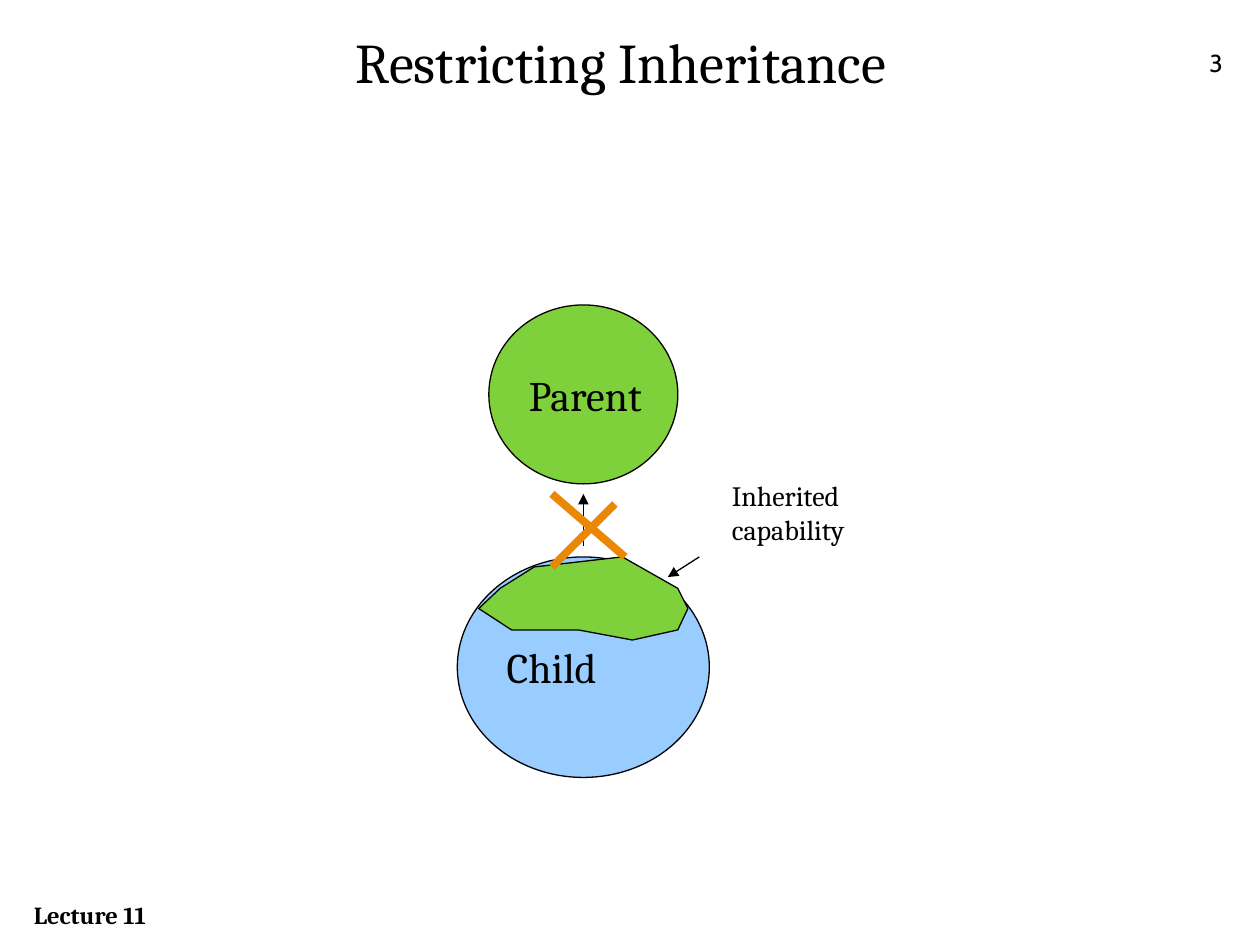
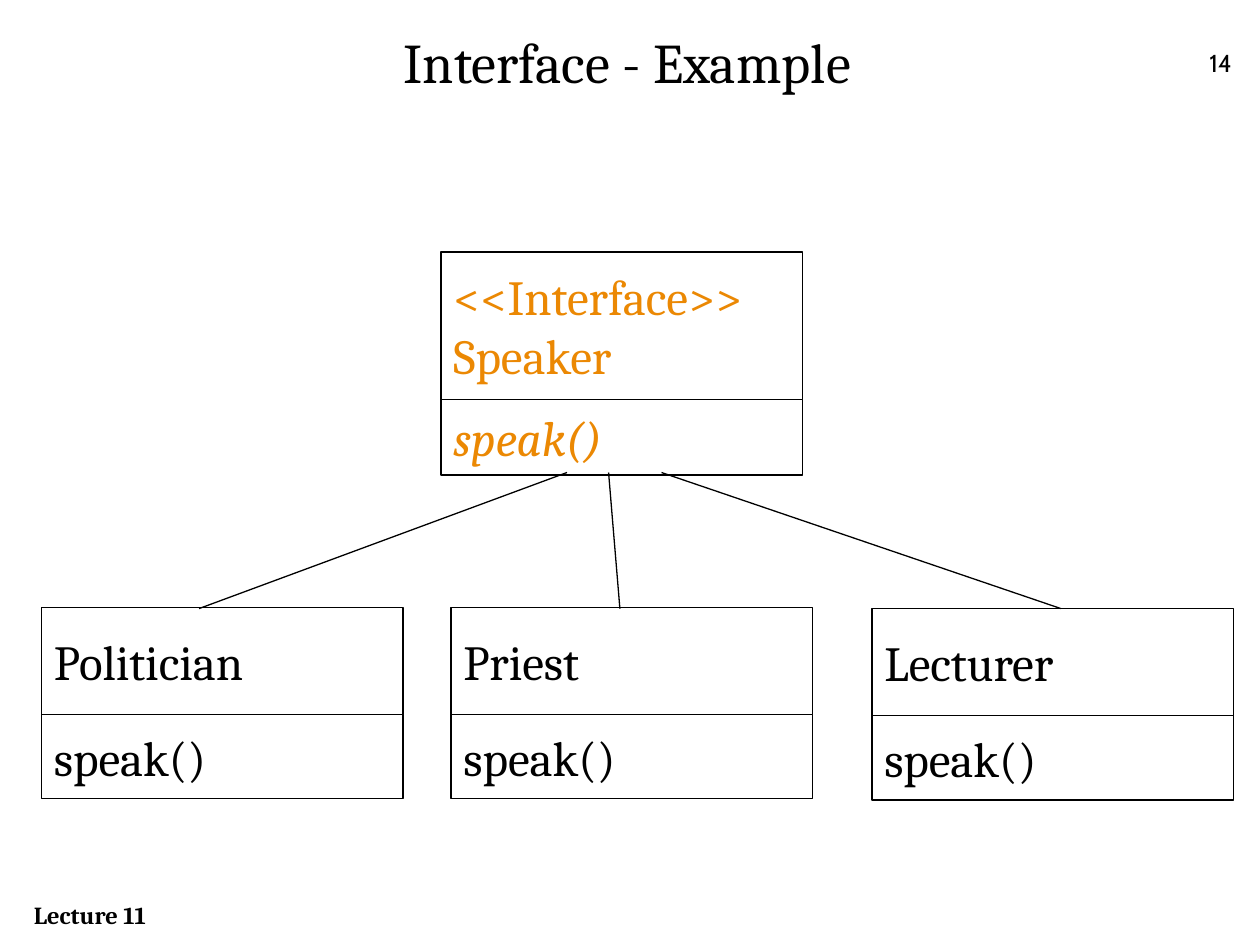
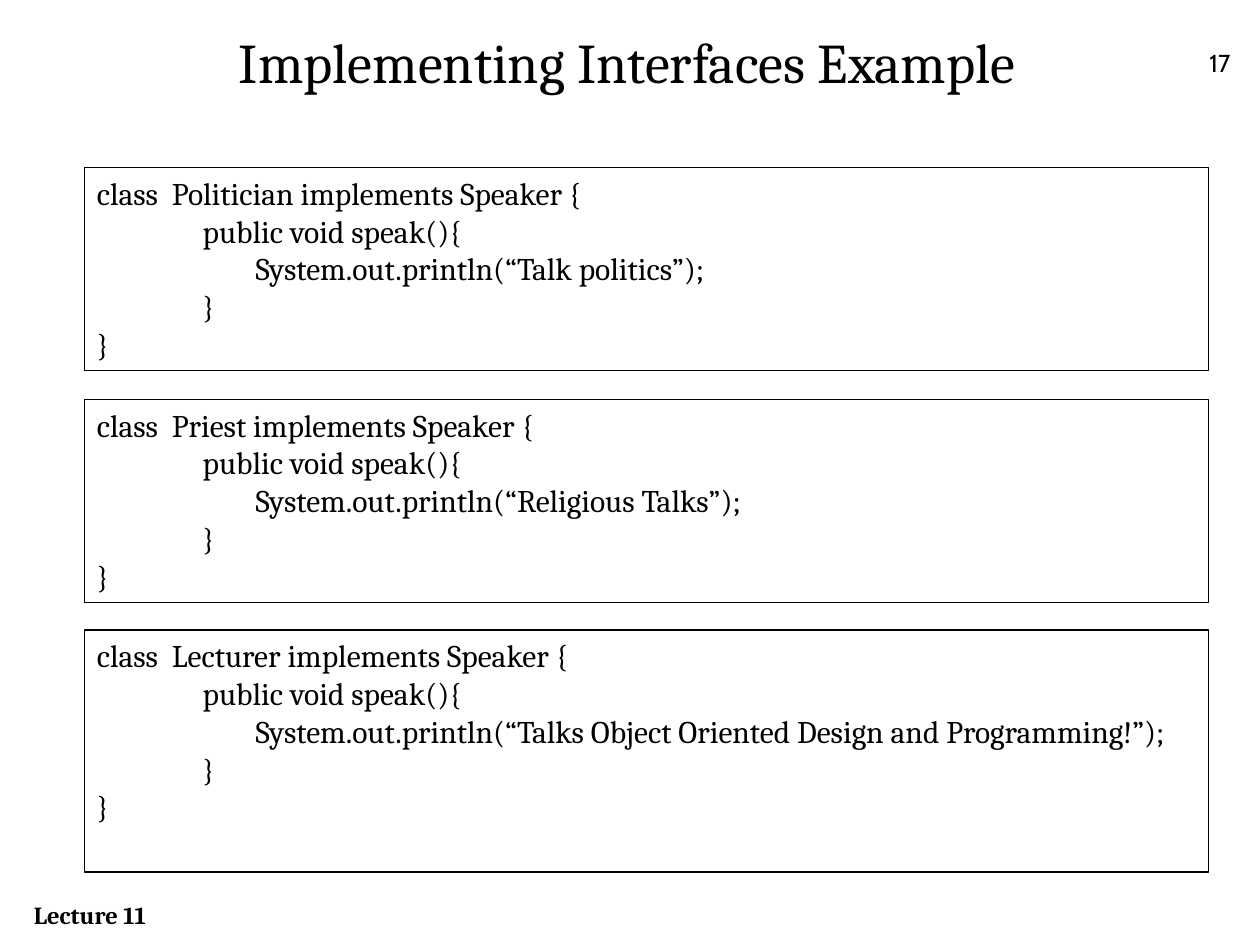
from dataclasses import dataclass
from typing import Optional

from lxml import etree
from pptx import Presentation
from pptx.dml.color import RGBColor
from pptx.enum import shapes, text
from pptx.oxml.ns import qn
from pptx.util import Inches, Pt

BLACK = RGBColor(0x00, 0x00, 0x00)
WHITE = RGBColor(0xFF, 0xFF, 0xFF)
GREEN = RGBColor(0x7F, 0xD1, 0x3B)
BLUE = RGBColor(0x99, 0xCC, 0xFF)
ORANGE = RGBColor(0xEB, 0x88, 0x03)

SERIF = "Cambria"
SANS = "Cabin"
RECT = shapes.MSO_SHAPE.RECTANGLE
OVAL = shapes.MSO_SHAPE.OVAL
TAB_STEP = 0.42


@dataclass(frozen=True)
class Box:
    left: float
    top: float
    width: float
    height: float

    def emu(self) -> tuple:
        return tuple(Inches(v) for v in (self.left, self.top, self.width, self.height))


@dataclass(frozen=True)
class Style:
    size: float
    color: RGBColor = BLACK
    name: str = SERIF
    bold: bool = False
    italic: bool = False


@dataclass(frozen=True)
class Line:
    start: tuple
    end: tuple
    color: RGBColor = BLACK
    width: float = 0.75
    arrow: bool = False


@dataclass(frozen=True)
class ClassBox:
    left: float
    top: float
    head: str
    head_height: float = 0.85
    method_height: float = 0.67
    color: RGBColor = BLACK
    abstract: bool = False


@dataclass(frozen=True)
class CodeBox:
    top: float
    height: float
    name: str
    speech: str


TITLE = Box(0.17, 0.17, 9.62, 1.08)
FOOTER = Box(0.17, 7.09, 2, 0.34)
NUMBER = Box(9.5, 0.33, 0.42, 0.4)
CLASS_WIDTH = 2.87

OUTLINE = [(3.8, 4.83), (4.06, 5), (4.32, 5), (4.59, 5), (5.02, 5.08), (5.38, 5),
           (5.46, 4.83), (5.38, 4.67), (4.94, 4.42), (4.24, 4.5), (3.97, 4.67)]
ARROWS = [Line((4.63, 4.33), (4.63, 3.92), arrow=True),
          Line((5.55, 4.42), (5.3, 4.58), arrow=True)]
CROSS = [Line((4.38, 3.92), (4.96, 4.42), ORANGE, 4.5),
         Line((4.88, 4), (4.38, 4.5), ORANGE, 4.5)]

CLASSES = [
    ClassBox(3.5, 2, "<<Interface>>\nSpeaker", 1.17, 0.6, ORANGE, True),
    ClassBox(0.33, 4.82, "Politician"),
    ClassBox(3.58, 4.82, "Priest"),
    ClassBox(6.92, 4.83, "Lecturer"),
]
LINKS = [Line((4.5, 3.75), (1.58, 4.83)),
         Line((4.83, 3.75), (4.92, 4.83)),
         Line((5.25, 3.75), (8.42, 4.83))]

CODE = [
    CodeBox(1.33, 1.61, "Politician", "Talk politics"),
    CodeBox(3.17, 1.61, "Priest", "Religious Talks"),
    CodeBox(5, 1.92, "Lecturer", "Talks Object Oriented Design and Programming!"),
]


def write(sp, content: str, style: Style, wrap: bool = True,
          anchor=text.MSO_ANCHOR.TOP, align=text.PP_ALIGN.LEFT, tabs: bool = False) -> None:
    tf = sp.text_frame
    frame = {"word_wrap": wrap, "vertical_anchor": anchor,
             "auto_size": text.MSO_AUTO_SIZE.NONE}
    for key, value in frame.items():
        setattr(tf, key, value)
    for i, row in enumerate(content.split("\n")):
        p = tf.paragraphs[0] if i == 0 else tf.add_paragraph()
        p.alignment = align
        if tabs:
            add_tabs(p)
        r = p.add_run()
        r.text = row
        font = {"name": style.name, "size": Pt(style.size),
                "bold": style.bold, "italic": style.italic}
        for key, value in font.items():
            setattr(r.font, key, value)
        r.font.color.rgb = style.color


def add_tabs(p) -> None:
    tabs = etree.SubElement(p._p.get_or_add_pPr(), qn("a:tabLst"))
    for n in range(1, 4):
        etree.SubElement(tabs, qn("a:tab"), pos=str(Inches(TAB_STEP * n)), algn="l")


def paint(sp, fill: Optional[RGBColor]) -> None:
    sp.shadow.inherit = False
    if fill is None:
        sp.fill.background()
    else:
        sp.fill.solid()
        sp.fill.fore_color.rgb = fill
    sp.line.color.rgb = BLACK
    sp.line.width = Pt(0.75)


def add_label(s, box: Box, content: str, style: Style, wrap: bool = True):
    sp = s.shapes.add_textbox(*box.emu())
    write(sp, content, style, wrap)
    return sp


def add_node(s, kind, box: Box, fill: RGBColor, content: str, style: Style) -> None:
    sp = s.shapes.add_shape(kind, *box.emu())
    paint(sp, fill)
    write(sp, content, style, False, text.MSO_ANCHOR.MIDDLE)


def add_line(s, line: Line) -> None:
    points = [Inches(v) for v in line.start + line.end]
    cx = s.shapes.add_connector(shapes.MSO_CONNECTOR.STRAIGHT, *points)
    cx.line.color.rgb = line.color
    cx.line.width = Pt(line.width)
    if line.arrow:
        etree.SubElement(cx.line._get_or_add_ln(), qn("a:tailEnd"), type="triangle")
    etree.SubElement(cx._element.spPr, qn("a:effectLst"))


def add_class(s, c: ClassBox) -> None:
    head = Box(c.left, c.top, CLASS_WIDTH, c.head_height)
    method = Box(c.left, c.top + c.head_height, CLASS_WIDTH, c.method_height)
    add_node(s, RECT, head, WHITE, c.head, Style(28, c.color))
    add_node(s, RECT, method, WHITE, "speak()", Style(28, c.color, italic=c.abstract))


def add_code(s, c: CodeBox) -> None:
    sp = s.shapes.add_shape(RECT, *Box(0.67, c.top, 8.92, c.height).emu())
    paint(sp, None)
    rows = [f"class  {c.name} implements Speaker {{",
            "\t\tpublic void speak(){",
            f"\t\t\tSystem.out.println(“{c.speech}”);",
            "\t\t}",
            "}"]
    write(sp, "\n".join(rows), Style(18), tabs=True)


def add_slide(prs, title: str, number: int):
    s = prs.slides.add_slide(prs.slide_layouts[5])
    sp = s.shapes.title
    sp.left, sp.top, sp.width, sp.height = TITLE.emu()
    write(sp, title, Style(32), align=text.PP_ALIGN.CENTER)
    add_label(s, NUMBER, str(number), Style(14, name=SANS))
    return s


def add_footer(s) -> None:
    sp = add_label(s, FOOTER, "Lecture 11", Style(14, bold=True))
    s.slide_layout.shapes.element.append(sp._element)


def build_inheritance(prs) -> None:
    s = add_slide(prs, "Restricting Inheritance ", 3)
    add_footer(s)
    add_node(s, OVAL, Box(3.88, 2.42, 1.5, 1.42), GREEN, "Parent", Style(24))
    add_node(s, OVAL, Box(3.63, 4.42, 2, 1.75), BLUE, "Child", Style(24))
    start, *rest = [(Inches(x), Inches(y)) for x, y in OUTLINE]
    fb = s.shapes.build_freeform(*start)
    fb.add_line_segments(rest, close=True)
    paint(fb.convert_to_shape(), GREEN)
    add_label(s, Box(5.71, 3.75, 1.15, 0.64), "Inherited\ncapability", Style(16), wrap=False)
    for line in ARROWS + CROSS:
        add_line(s, line)


def build_interface(prs) -> None:
    s = add_slide(prs, "Interface - Example", 14)
    for c in CLASSES:
        add_class(s, c)
    for line in LINKS:
        add_line(s, line)


def build_code(prs) -> None:
    s = add_slide(prs, "Implementing Interfaces Example", 17)
    for c in CODE:
        add_code(s, c)


def main() -> None:
    prs = Presentation()
    prs.slide_width, prs.slide_height = Inches(10), Inches(7.5)
    build_inheritance(prs)
    build_interface(prs)
    build_code(prs)
    prs.save("out.pptx")


if __name__ == "__main__":
    main()
